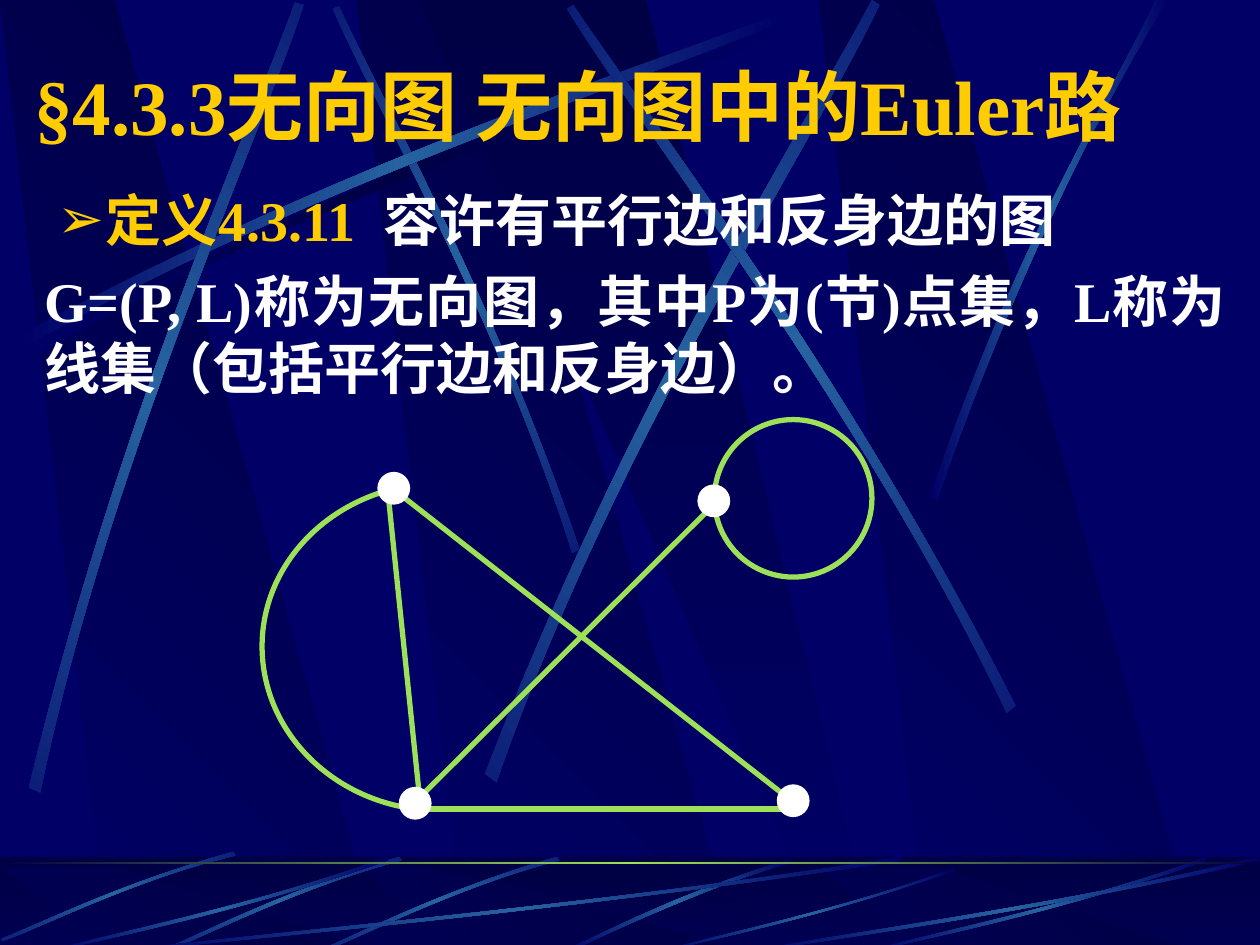
from math import cos, radians, sin

from lxml import etree
from pptx import Presentation
from pptx.dml.color import RGBColor
from pptx.enum.shapes import MSO_CONNECTOR, MSO_SHAPE
from pptx.enum.text import MSO_ANCHOR, MSO_AUTO_SIZE, PP_ALIGN
from pptx.oxml.ns import qn
from pptx.util import Pt

RECTANGLE, OVAL = MSO_SHAPE.RECTANGLE, MSO_SHAPE.OVAL
STRAIGHT = MSO_CONNECTOR.STRAIGHT
LEFT, JUSTIFY = PP_ALIGN.LEFT, PP_ALIGN.JUSTIFY

PX = 9144  # 100 px to the inch
FONT = "Times New Roman"
COLORS = {"navy": "000066", "dark": "000044", "blue": "2663A0",
          "green": "9CE157", "gold": "FFCC00", "white": "FFFFFF"}

# Content
TITLE = "§4.3.3无向图 无向图中的Euler路"
BODY = [
    [("定义4.3.11  ", "gold"), ("容许有平行边和反身边的图", "white")],
    [("G=(P, L)称为无向图，其中P为(节)点集，L称为线集（包括平行边和反身边）。", "white")],
]

# Graph: top-left corners of the vertices, end points of the edges
VERTICES = [(300, 375), (617, 623), (554, 385), (317, 625)]
VERTEX_SIZE = 25
EDGES = [((308, 392), (333, 633)), ((633, 642), (333, 642)),
         ((317, 392), (625, 633)), ((567, 400), (333, 633))]
LOOP = (567, 333, 125, 125)
ARC = [(302, 391), (247, 409), (208, 457), (208, 513),
       (208, 579), (261, 633), (329, 642)]

# Backdrop
PANEL_OFFSETS = (283, 0, 650)
FOOTER = (0, 680, 1000, 75)
RULE = (0, 684, 1000, 2)
# Each streak: rotation, x offsets, then an outer and an inner curve
SWEEP = [(14, 267), (278, 125), (518, 51), (620, 10),
         (623, 16), (522, 61), (248, 143), (17, 277)]
STREAKS = [
    (45, (0,), [(460, 436), (391, 234), (302, 77), (269, 5),
                (264, 7), (295, 79), (398, 258), (454, 439)]),
    (0, (0,), SWEEP),
    (311.7, (0,), [(23, 625), (93, 334), (197, 105), (234, 2),
                   (241, 4), (207, 109), (86, 368), (32, 629)]),
    (321.6, (0,), [(385, 614), (498, 320), (638, 102), (692, 0),
                   (698, 4), (649, 108), (486, 355), (394, 621)]),
    (34.8, (0,), [(806, 560), (670, 293), (516, 95), (455, 4),
                  (450, 7), (507, 101), (685, 325), (799, 566)]),
    (0, (0,), [(738, 394), (814, 173), (888, 66), (917, 0),
               (927, 0), (836, 145), (769, 322), (744, 397)]),
]
FOOTER_STREAKS = [
    (0, (0,), [(627, 682), (537, 709), (477, 742), (448, 754),
               (453, 755), (490, 737), (571, 700), (628, 685)]),
    (314.9, (125, 0), [(317, 680), (230, 705), (162, 740), (131, 753),
                       (132, 755), (163, 743), (240, 703), (319, 683)]),
    (314.9, (0,), [(185, 676), (98, 700), (32, 733), (1, 745),
                   (2, 747), (33, 736), (109, 697), (187, 679)]),
    (0, (0,), [(717, 683), (449, 723), (206, 744), (103, 755),
               (100, 754), (202, 741), (480, 718), (714, 680)]),
    (0, (0, 650), [(308, 683), (193, 723), (88, 744), (43, 755),
                   (42, 754), (86, 741), (206, 718), (307, 680)]),
    (0, (0,), [(758, 691), (658, 726), (567, 745), (528, 755),
               (527, 754), (565, 743), (669, 722), (757, 689)]),
    (0, (0,), [(1000, 683), (827, 723), (669, 744), (602, 755),
               (600, 754), (666, 741), (846, 718), (998, 680)]),
]


def rgb(name):
    return RGBColor.from_string(COLORS[name])


def scaled(*lengths):
    return [round(length * PX) for length in lengths]


def turned(x, y, degrees):
    """Turn a point clockwise about the page corner."""
    angle = radians(degrees)
    return x * cos(angle) - y * sin(angle), x * sin(angle) + y * cos(angle)


def add_outline(group, points, curve_starts=(), close=True):
    """Outline through the points; each curve start bends three segments into one."""
    points = [tuple(scaled(*point)) for point in points]
    builder = group.shapes.build_freeform(*points[0], scale=1.0)
    builder.add_line_segments(points[1:], close=close)
    shape = builder.convert_to_shape()
    shape.shadow.inherit = False
    outline = shape._element.spPr.find(".//" + qn("a:path"))
    segments = outline.findall(qn("a:lnTo"))
    for start in curve_starts:
        bend = etree.Element(qn("a:cubicBezTo"))
        segments[start].addprevious(bend)
        for segment in segments[start:start + 3]:
            bend.append(segment[0])
            outline.remove(segment)
    return shape


def add_preset(group, kind, frame):
    shape = group.shapes.add_shape(kind, *scaled(*frame))
    shape.shadow.inherit = False
    return shape


def paint_gradient(shape, names, angle):
    """Evenly spaced stops, angle clockwise in degrees, no line."""
    shape.line.fill.background()
    shape.fill.gradient()
    gradient = shape._element.spPr.find(qn("a:gradFill"))
    stops = gradient.find(qn("a:gsLst"))
    for stop in list(stops):
        stops.remove(stop)
    for index, name in enumerate(names):
        position = 100000 * index // (len(names) - 1)
        stop = etree.SubElement(stops, qn("a:gs"), pos=str(position))
        etree.SubElement(stop, qn("a:srgbClr"), val=COLORS[name])
    gradient.find(qn("a:lin")).set("ang", str(angle * 60000))


def add_panels(top, bottom):
    for x in PANEL_OFFSETS:
        panel = add_outline(backdrop, [(x + 86, bottom), (x + 302, bottom), (x + 91, top), (x, top)])
        paint_gradient(panel, ("navy", "dark"), 315)
    panel = add_outline(backdrop, [(333, top), (658, bottom), (694, bottom), (513, top)])
    paint_gradient(panel, ("dark", "navy"), 90)


def add_streak(points, rotation, middle="blue", dx=0, dy=0):
    level = [turned(x + dx, y + dy, -rotation) for x, y in points]
    streak = add_outline(backdrop, level, (0, 4))
    center = turned(streak.left + streak.width / 2, streak.top + streak.height / 2, rotation)
    streak.left = round(center[0] - streak.width / 2)
    streak.top = round(center[1] - streak.height / 2)
    streak.rotation = rotation
    paint_gradient(streak, ("navy", middle, "navy"), 0)


def add_streaks(streaks):
    for rotation, offsets, points in streaks:
        for dx in offsets:
            add_streak(points, rotation, dx=dx)


def set_green_line(shape):
    shape.line.color.rgb = rgb("green")
    shape.line.width = Pt(3)


def place(box, frame):
    box.left, box.top, box.width, box.height = scaled(*frame)
    box.text_frame.word_wrap = True


def add_span(para, text, color, size):
    span = para.add_run()
    span.text = text
    span.font.name, span.font.size, span.font.bold = FONT, Pt(size), True
    span.font.color.rgb = rgb(color)


deck = Presentation()
deck.slide_width, deck.slide_height = scaled(1000, 750)
page = deck.slides.add_slide(deck.slide_layouts[1])
master = deck.slide_master
master.background.fill.solid()
master.background.fill.fore_color.rgb = rgb("navy")

# Backdrop
backdrop = page.shapes.add_group_shape()
add_panels(0, 752)
add_streak(SWEEP, 0, "dark", 6, 8)
add_streaks(STREAKS)

# Footer band
paint_gradient(add_preset(backdrop, RECTANGLE, FOOTER), ("dark", "navy"), 90)
add_panels(688, 755)
veil = add_preset(backdrop, RECTANGLE, FOOTER)
veil.fill.solid()
veil.fill.fore_color.rgb = rgb("dark")
veil.line.fill.background()
veil_color = veil._element.spPr.find(qn("a:solidFill"))[0]
etree.SubElement(veil_color, qn("a:alpha"), val="50000")
add_streaks(FOOTER_STREAKS)
paint_gradient(add_preset(backdrop, RECTANGLE, RULE), ("dark", "green", "dark"), 0)

# The backdrop belongs to the master, behind its placeholders
for number, item in enumerate(backdrop._element.iter(qn("p:cNvPr")), start=100):
    item.set("id", str(number))
master.shapes._spTree.insert(2, backdrop._element)

# Definition
body = page.placeholders[1]
place(body, (25, 142, 958, 558))
body.text_frame.auto_size = MSO_AUTO_SIZE.NONE
for index, spans in enumerate(BODY):
    para = body.text_frame.paragraphs[0] if index == 0 else body.text_frame.add_paragraph()
    para.alignment = JUSTIFY
    para.space_before = Pt(8 if index else 0)
    properties = para._p.get_or_add_pPr()
    margin, indent = (0, 0) if index else scaled(49, -38)
    properties.set("marL", str(margin))
    properties.set("indent", str(indent))
    if index:
        etree.SubElement(properties, qn("a:buNone"))
    else:
        bullet_color = etree.SubElement(properties, qn("a:buClr"))
        etree.SubElement(bullet_color, qn("a:srgbClr"), val=COLORS["gold"])
        etree.SubElement(properties, qn("a:buChar"), char="➢")
    for text, color in spans:
        add_span(para, text, color, 32)

# Title
title = page.shapes.title
place(title, (17, 41, 950, 84))
title.text_frame.auto_size = MSO_AUTO_SIZE.SHAPE_TO_FIT_TEXT
title.text_frame.vertical_anchor = MSO_ANCHOR.MIDDLE
title.text_frame.paragraphs[0].alignment = LEFT
add_span(title.text_frame.paragraphs[0], TITLE, "gold", 44)

# Graph edges, then vertices
graph = page.shapes.add_group_shape()
for edge in (add_outline(graph, ARC, (0, 3), close=False), add_preset(graph, OVAL, LOOP)):
    edge.fill.background()
    set_green_line(edge)
for start, end in EDGES:
    edge = graph.shapes.add_connector(STRAIGHT, *scaled(*start, *end))
    etree.SubElement(edge._element.spPr, qn("a:effectLst"))
    set_green_line(edge)
for x, y in VERTICES:
    vertex = add_preset(graph, OVAL, (x, y, VERTEX_SIZE, VERTEX_SIZE))
    vertex.fill.solid()
    vertex.fill.fore_color.rgb = rgb("white")
    vertex.line.color.rgb = rgb("white")
    vertex.line.width = Pt(0.75)

deck.save("out.pptx")
